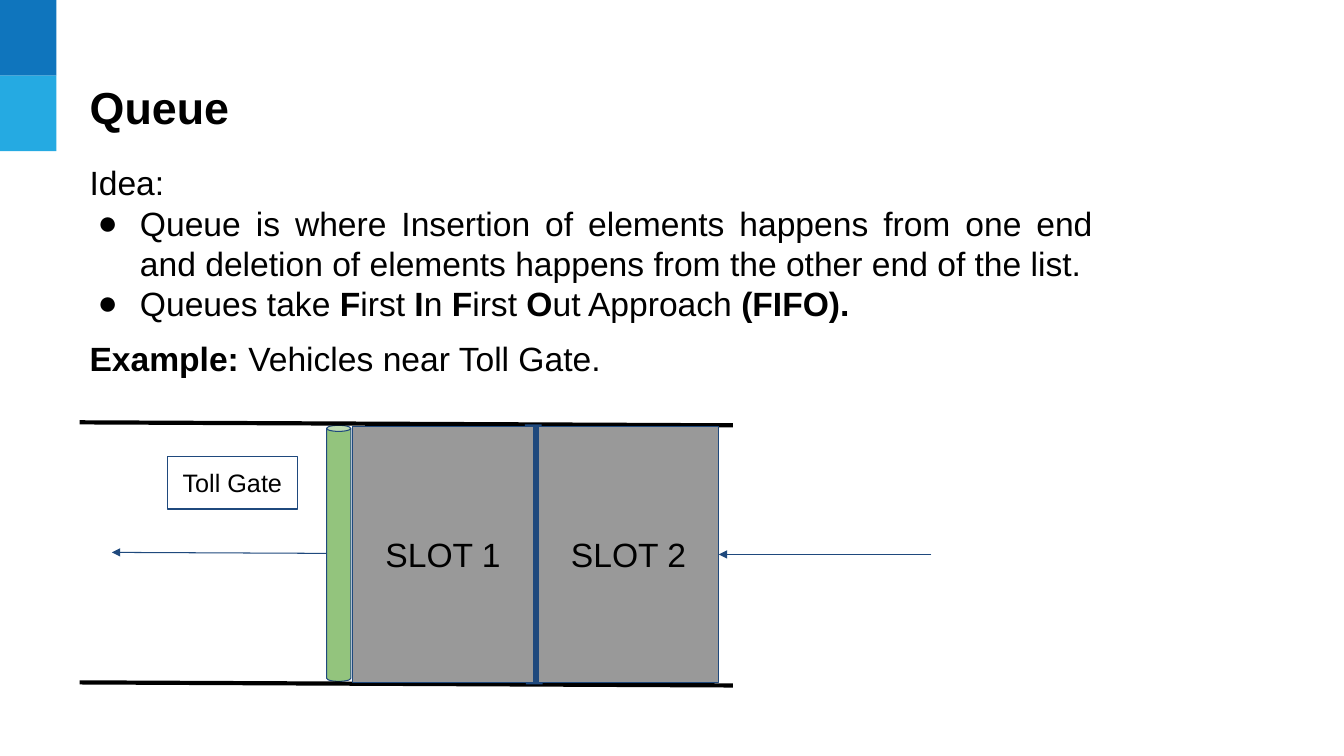
from dataclasses import dataclass

from lxml import etree
from pptx import Presentation
from pptx.dml.color import RGBColor
from pptx.enum.shapes import MSO_CONNECTOR, MSO_SHAPE
from pptx.enum.text import MSO_ANCHOR, MSO_AUTO_SIZE, PP_ALIGN
from pptx.oxml.ns import qn
from pptx.util import Inches, Pt

RECTANGLE, CAN = MSO_SHAPE.RECTANGLE, MSO_SHAPE.CAN
STRAIGHT = MSO_CONNECTOR.STRAIGHT
MIDDLE, TOP = MSO_ANCHOR.MIDDLE, MSO_ANCHOR.TOP
LEFT, CENTER, JUSTIFY = PP_ALIGN.LEFT, PP_ALIGN.CENTER, PP_ALIGN.JUSTIFY
NO_AUTOFIT = MSO_AUTO_SIZE.NONE
RIGHT_SIDE = 3

BLACK = RGBColor(0x00, 0x00, 0x00)
WHITE = RGBColor(0xFF, 0xFF, 0xFF)
DARK_BLUE = RGBColor(0x0F, 0x75, 0xBD)
LIGHT_BLUE = RGBColor(0x25, 0xAA, 0xE2)
NAVY = RGBColor(0x1F, 0x49, 0x7D)
GREEN = RGBColor(0x93, 0xC4, 0x7D)
GREY = RGBColor(0x99, 0x99, 0x99)

FONT = "Arial"
CELL = Inches(0.1)  # one column or row of the slide grid
COLUMNS, ROWS = 133.33, 75
MARGIN = 7.9
ROAD_RIGHT = 72.7
SLOT_LEFT, SLOT_TOP, SLOT_WIDTH, SLOT_HEIGHT = 35, 42.3, 17.9, 25.4
SLOT_STEP = 18.4


@dataclass(frozen=True)
class Box:
    left: float
    top: float
    width: float
    height: float
    fill: RGBColor
    outline: RGBColor | None = None
    text: str = ""
    size: int = 24
    kind: MSO_SHAPE = RECTANGLE


@dataclass(frozen=True)
class Line:
    start: tuple[float, float]
    end: tuple[float, float]
    color: RGBColor = NAVY
    width: float = 0.75
    arrow: bool = False


@dataclass(frozen=True)
class BodyParagraph:
    runs: tuple[str, ...]  # alternately regular and bold
    bullet: bool = False
    space_before: int = 0


SIDE_BLOCKS = [
    Box(0, row * 7.5, 5.6, 7.5, color)
    for row, color in enumerate((DARK_BLUE, LIGHT_BLUE))
]
GATE = [
    Box(32.4, 42.2, 2.4, 25.4, GREEN, NAVY, kind=CAN),
    Box(16.6, 45.3, 12.9, 5.2, WHITE, NAVY, "Toll Gate", 18),
]
ROAD = [
    Line((MARGIN, top), (ROAD_RIGHT, top + 0.3), BLACK, 3) for top in (41.9, 67.7)
] + [Line((52.9, 42.1), (53, 67.9), NAVY, 12)]
SLOTS = [
    Box(SLOT_LEFT + index * SLOT_STEP, SLOT_TOP, SLOT_WIDTH, SLOT_HEIGHT,
        GREY, NAVY, f"SLOT {index + 1}")
    for index in range(2)
]
EXIT_ARROW = Line((32.4, 54.9), (11.1, 54.8), arrow=True)
ENTRY_ARROW = Line((92.4, 55), (71.3, 55), arrow=True)
BODY = [
    BodyParagraph(("Idea:",)),
    BodyParagraph(
        ("Queue is where Insertion of elements happens from one end and "
         "deletion of elements happens from the other end of the list.",),
        bullet=True),
    BodyParagraph(
        ("Queues take ", "F", "irst ", "I", "n ", "F", "irst ", "O",
         "ut Approach ", "(FIFO)."),
        bullet=True),
    BodyParagraph(("", "Example: ", "Vehicles near Toll Gate."), space_before=10),
]


def grid(*cells: float) -> list[int]:
    """Turn grid columns or rows into slide lengths."""
    return [round(cell * CELL) for cell in cells]


def style_font(font, size: int, bold: bool = False) -> None:
    font.name, font.size, font.bold = FONT, Pt(size), bold
    font.color.rgb = BLACK


def set_frame(text_frame, anchor: MSO_ANCHOR, vertical_inset: float = 1) -> None:
    text_frame.word_wrap = True
    text_frame.auto_size = NO_AUTOFIT
    text_frame.vertical_anchor = anchor
    text_frame.margin_left = text_frame.margin_right = CELL
    text_frame.margin_top = text_frame.margin_bottom = grid(vertical_inset)[0]


def draw_box(slide, box: Box):
    shape = slide.shapes.add_shape(
        box.kind, *grid(box.left, box.top, box.width, box.height))
    shape.shadow.inherit = False
    shape.fill.solid()
    shape.fill.fore_color.rgb = box.fill
    if box.outline is None:
        shape.line.fill.background()
    else:
        shape.line.color.rgb = box.outline
        shape.line.width = Pt(0.75)
    if box.text:
        set_frame(shape.text_frame, MIDDLE)
        shape.text_frame.text = box.text
        paragraph = shape.text_frame.paragraphs[0]
        paragraph.alignment = CENTER
        style_font(paragraph.runs[0].font, box.size)
    return shape


def draw_line(slide, line: Line):
    connector = slide.shapes.add_connector(STRAIGHT, *grid(*line.start, *line.end))
    connector.line.color.rgb = line.color
    connector.line.width = Pt(line.width)
    if line.arrow:
        etree.SubElement(connector.line._get_or_add_ln(), qn("a:tailEnd"),
                         type="triangle")
    etree.SubElement(connector._element.spPr, qn("a:effectLst"))
    return connector


def add_bullet(paragraph) -> None:
    properties = paragraph._p.get_or_add_pPr()
    properties.set("marL", str(Inches(0.5)))
    properties.set("indent", str(Inches(-0.42)))
    color = etree.SubElement(properties, qn("a:buClr"))
    etree.SubElement(color, qn("a:srgbClr"), val=str(BLACK))
    etree.SubElement(properties, qn("a:buFont"), typeface=FONT)
    etree.SubElement(properties, qn("a:buChar"), char="●")


def write_title(slide) -> None:
    title = slide.shapes.title
    title.left, title.top, title.width, title.height = grid(MARGIN, 6.1, 87.5, 9)
    set_frame(title.text_frame, MIDDLE, 0.5)
    title.text_frame.text = "Queue"
    paragraph = title.text_frame.paragraphs[0]
    paragraph.alignment = LEFT
    style_font(paragraph.runs[0].font, 32, bold=True)


def write_body(slide) -> None:
    text_frame = slide.shapes.add_textbox(*grid(MARGIN, 15.1, 101.5, 23.6)).text_frame
    set_frame(text_frame, TOP)
    for index, content in enumerate(BODY):
        paragraph = text_frame.add_paragraph() if index else text_frame.paragraphs[0]
        paragraph.alignment = JUSTIFY
        if content.space_before:
            paragraph.space_before = Pt(content.space_before)
        if content.bullet:
            add_bullet(paragraph)
        for position, text in enumerate(content.runs):
            if text:
                run = paragraph.add_run()
                run.text = text
                style_font(run.font, 24, bold=position % 2 == 1)


def main() -> None:
    presentation = Presentation()
    presentation.slide_width, presentation.slide_height = grid(COLUMNS, ROWS)
    title_only = presentation.slide_layouts[5]
    slide = presentation.slides.add_slide(title_only)
    write_title(slide)
    for block in SIDE_BLOCKS:
        draw_box(slide, block)
    write_body(slide)
    for box in GATE:
        draw_box(slide, box)
    for line in ROAD:
        draw_line(slide, line)
    slots = [draw_box(slide, slot) for slot in SLOTS]
    draw_line(slide, EXIT_ARROW)
    draw_line(slide, ENTRY_ARROW).end_connect(slots[-1], RIGHT_SIDE)
    presentation.save("out.pptx")


if __name__ == "__main__":
    main()
